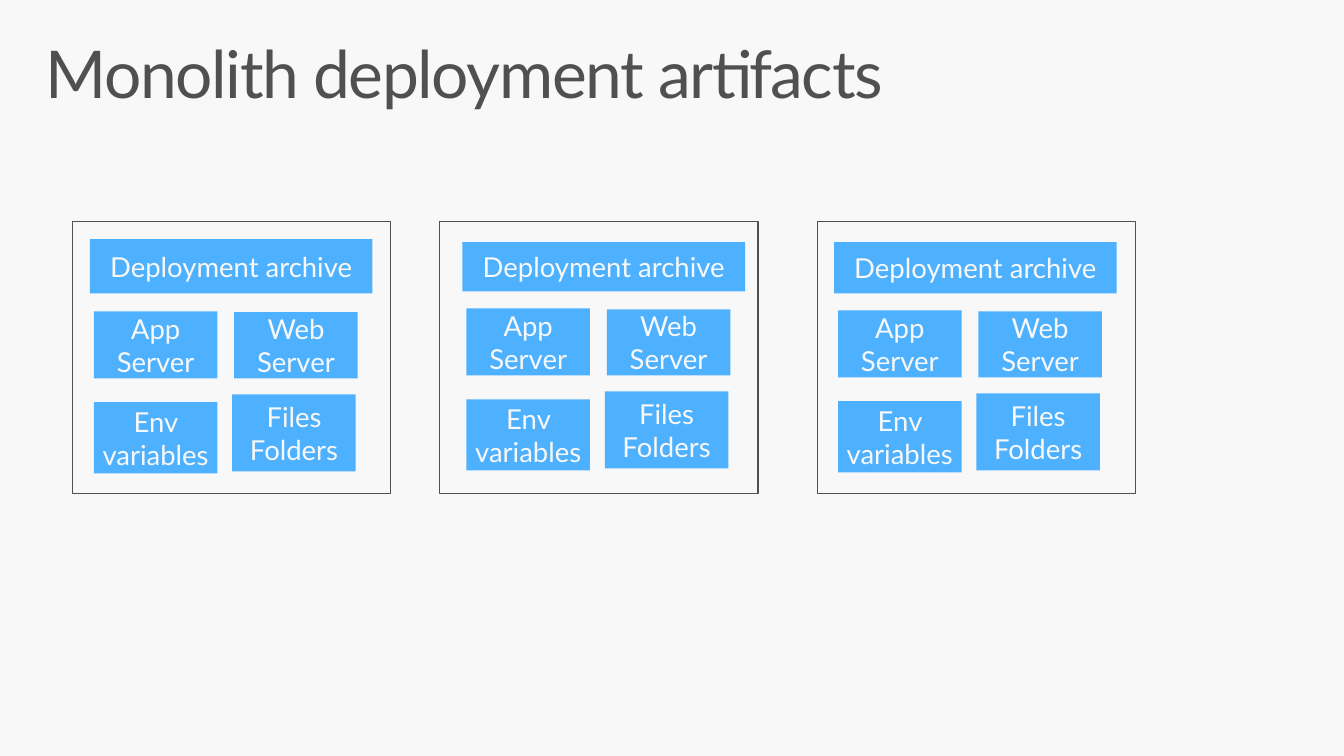
from pptx import Presentation
from pptx.dml.color import RGBColor
from pptx.enum.shapes import MSO_SHAPE
from pptx.enum.text import MSO_ANCHOR, PP_ALIGN
from pptx.util import Emu, Pt

RECTANGLE = MSO_SHAPE.RECTANGLE
MIDDLE = MSO_ANCHOR.MIDDLE
CENTER = PP_ALIGN.CENTER

PX = 9144  # 100 px to the inch
FONT = "Lato"
BACKGROUND, DARK, BLUE = "F8F8F8", "505050", "4EB1FF"


def color(hex_string):
    return RGBColor.from_string(hex_string)


def add_rectangle(slide, *box):
    """Add a shadowless rectangle; box is left, top, width, height in px."""
    shape = slide.shapes.add_shape(RECTANGLE, *[Emu(length * PX) for length in box])
    shape.shadow.inherit = False
    return shape


presentation = Presentation()
presentation.slide_width = Emu(1360 * PX)
presentation.slide_height = Emu(765 * PX)
slide = presentation.slides.add_slide(presentation.slide_layouts[6])
slide.background.fill.solid()
slide.background.fill.fore_color.rgb = color(BACKGROUND)

# Title
title = slide.shapes.add_textbox(Emu(30 * PX), Emu(32 * PX), Emu(1300 * PX), Emu(100 * PX))
title_frame = title.text_frame
title_frame.word_wrap = True
title_frame.margin_left = title_frame.margin_right = Emu(16 * PX)
title_frame.margin_top = title_frame.margin_bottom = Emu(10 * PX)
paragraph = title_frame.paragraphs[0]
paragraph.line_spacing = 0.9
run = paragraph.add_run()
run.text = "Monolith deployment artifacts"
run.font.name = FONT
run.font.size = Pt(48)
run.font.color.rgb = color(DARK)
run._r.get_or_add_rPr().set("spc", "-100")

# Servers: frame left, archive left, archive top, archive height, parts top
servers = [
    (73, 91, 242, 55, 315),
    (445, 468, 245, 50, 312),
    (827, 844, 245, 52, 314),
]
# Parts: text, offset from archive left, offset from parts top, height
parts = [
    ("App Server", 4, 0, 68),
    ("Web Server", 146, 1, 67),
    ("Env variables", 4, 92, 72),
    ("Files\nFolders", 144, 84, 78),
]

for frame_left, left, archive_top, archive_height, parts_top in servers:
    blocks = [("Deployment archive", left, archive_top, 286, archive_height)]
    for text, x_offset, y_offset, height in parts:
        blocks.append((text, left + x_offset, parts_top + y_offset, 125, height))

    for text, *box in blocks:
        block = add_rectangle(slide, *box)
        block.fill.solid()
        block.fill.fore_color.rgb = color(BLUE)
        block.line.fill.background()
        text_frame = block.text_frame
        text_frame.word_wrap = True
        text_frame.vertical_anchor = MIDDLE
        text_frame.margin_left = text_frame.margin_right = 0
        text_frame.margin_top = text_frame.margin_bottom = Emu(5 * PX)
        text_frame.text = text
        for paragraph in text_frame.paragraphs:
            paragraph.alignment = CENTER
            paragraph.font.name = FONT
            paragraph.font.size = Pt(20)
            paragraph.font.color.rgb = color(BACKGROUND)

    server_frame = add_rectangle(slide, frame_left, 224, 322, 275)
    server_frame.fill.background()
    server_frame.line.color.rgb = color(DARK)
    server_frame.line.width = Pt(0.85)

presentation.save("out.pptx")
